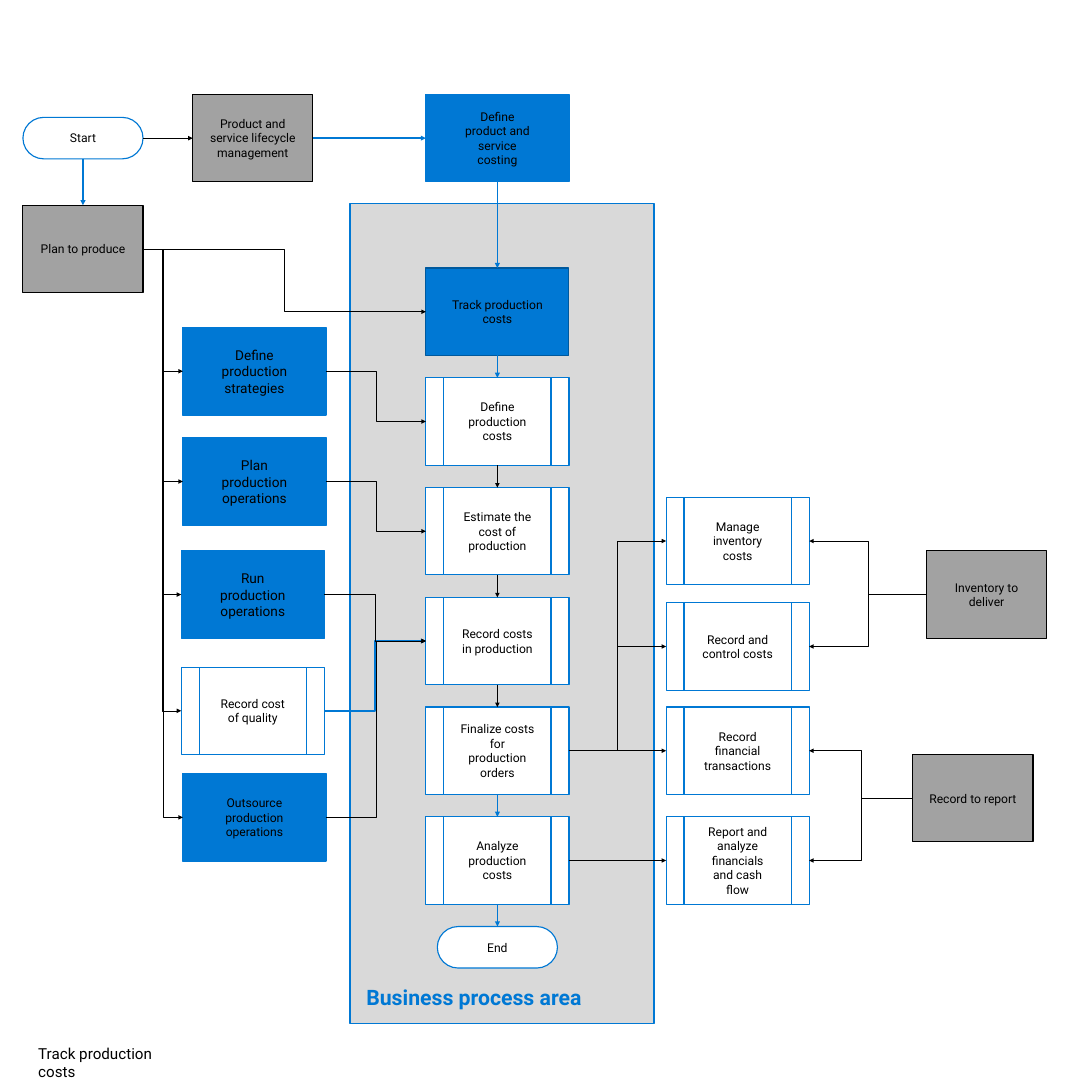
from lxml.etree import SubElement
from pptx import Presentation
from pptx.dml.color import RGBColor
from pptx.enum.shapes import MSO_CONNECTOR, MSO_SHAPE
from pptx.enum.text import MSO_ANCHOR, MSO_AUTO_SIZE, PP_ALIGN
from pptx.oxml.ns import qn
from pptx.util import Inches, Pt

BLUE = RGBColor(0x00, 0x78, 0xD4)
DARK_BLUE = RGBColor(0x00, 0x59, 0x9D)
GRAY = RGBColor(0xA2, 0xA2, 0xA2)
PANEL = RGBColor(0xD9, 0xD9, 0xD9)
BLACK = RGBColor(0, 0, 0)
WHITE = RGBColor(0xFF, 0xFF, 0xFF)

# Grid: columns, rows of the main flow and box sizes, in inches
LEFT, MID, RIGHT = 3.35, 7.8, 12.2
ROWS = [4.91 + 2.01 * i for i in range(6)]
END_COL, TOP_ROW = 0.42, 1.73
STEP_W, AREA_W, BOX_H, PILL_H = 2.62, 2.2, 1.6, 0.76

RECT = MSO_SHAPE.RECTANGLE
PILL = MSO_SHAPE.ROUNDED_RECTANGLE
STEP = MSO_SHAPE.FLOWCHART_PREDEFINED_PROCESS
TOP, WEST, BOTTOM, EAST = range(4)  # connection sites

prs = Presentation()
prs.slide_width = prs.slide_height = Inches(20)
s = prs.slides.add_slide(prs.slide_layouts[5])


def add_box(text, kind, x, y, w, h, fill, line, size=16):
    sp = s.shapes.add_shape(kind, Inches(x), Inches(y), Inches(w), Inches(h))
    sp.shadow.inherit = False
    sp.fill.solid()
    sp.fill.fore_color.rgb = fill
    sp.line.color.rgb = line
    sp.line.width = Pt(1.5)
    if kind == PILL:
        sp.adjustments[0] = 0.5
    tf = sp.text_frame
    tf.word_wrap = True
    tf.vertical_anchor = MSO_ANCHOR.MIDDLE
    tf.margin_left = tf.margin_right = Inches(0.3)
    tf.margin_top = tf.margin_bottom = Inches(0.24)
    p = tf.paragraphs[0]
    p.text = text
    p.alignment = PP_ALIGN.CENTER
    p.font.name = "Roboto"
    p.font.size = Pt(size)
    p.font.color.rgb = BLACK
    return sp


def connect(start, start_site, end, end_site, color=BLACK, width=0.75):
    c = s.shapes.add_connector(MSO_CONNECTOR.ELBOW, 0, 0, 0, 0)
    c.begin_connect(boxes[start], start_site)
    c.end_connect(boxes[end], end_site)
    if abs(c.begin_x - c.end_x) < 9144 or abs(c.begin_y - c.end_y) < 9144:
        c.element.spPr.find(qn("a:prstGeom")).set("prst", "line")
    c.line.color.rgb = color
    c.line.width = Pt(width)
    SubElement(c.element.spPr.find(qn("a:ln")), qn("a:tailEnd"), type="triangle")
    SubElement(c.element.spPr, qn("a:effectLst"))


# Page title at the bottom left
title = s.shapes.title
title.left, title.top = Inches(0.7), Inches(19.13)
title.width, title.height = Inches(2.78), Inches(0.34)
tf = title.text_frame
tf.margin_left = tf.margin_right = tf.margin_top = tf.margin_bottom = 0
tf.word_wrap = True
tf.auto_size = MSO_AUTO_SIZE.NONE
tf.vertical_anchor = MSO_ANCHOR.TOP
p = tf.paragraphs[0]
p.text = "Track production costs"
p.alignment = PP_ALIGN.LEFT
p.font.name = "Roboto"
p.font.size = Pt(20)
p.font.color.rgb = BLACK

# Business process area panel
panel = add_box("Business process area", RECT, 6.41, 3.73, 5.57, 15.01, PANEL, BLUE, 28)
panel.text_frame.vertical_anchor = MSO_ANCHOR.BOTTOM
p = panel.text_frame.paragraphs[0]
p.alignment = PP_ALIGN.LEFT
p.font.bold = True
p.font.color.rgb = BLUE

boxes = {}

# Start and end
for text, x, y in [("Start", END_COL, 2.15), ("End", 8.01, 16.97)]:
    boxes[text] = add_box(text, PILL, x, y, AREA_W, PILL_H, WHITE, BLUE)

# Neighbouring processes
for text, x, y in [
    ("Product and service lifecycle management", 3.53, TOP_ROW),
    ("Plan to produce", END_COL, 3.76),
    ("Inventory to deliver", 16.97, 10.09),
    ("Record to report", 16.72, 13.82),
]:
    boxes[text] = add_box(text, RECT, x, y, AREA_W, BOX_H, GRAY, BLACK)

# Main flow
main_flow = [
    "Track production costs",
    "Define production costs",
    "Estimate the cost of production",
    "Record costs in production",
    "Finalize costs for production orders",
    "Analyze production costs",
]
for i, (text, y) in enumerate(zip(main_flow, ROWS)):
    style = (WHITE, BLUE) if i else (BLUE, DARK_BLUE)
    boxes[text] = add_box(text, STEP if i else RECT, MID, y, STEP_W, BOX_H, *style)

# Steps beside the main flow
for text, x, y, fill, size in [
    ("Define product and service costing", MID, TOP_ROW, BLUE, 16),
    ("Define production strategies", LEFT, 6, BLUE, 18),
    ("Plan production operations", LEFT, 8.02, BLUE, 18),
    ("Run production operations", LEFT - 0.03, 10.09, BLUE, 18),
    ("Record cost of quality", LEFT - 0.03, 12.22, WHITE, 16),
    ("Outsource production operations", LEFT, 14.17, BLUE, 16),
    ("Manage inventory costs", RIGHT, 9.11, WHITE, 16),
    ("Record and control costs", RIGHT, 11.04, WHITE, 16),
    ("Record financial transactions", RIGHT, ROWS[4], WHITE, 16),
    ("Report and analyze financials and cash flow", RIGHT, ROWS[5], WHITE, 16),
]:
    boxes[text] = add_box(text, STEP, x, y, STEP_W, BOX_H, fill, BLUE, size)

# Arrows down the main flow
chain = ["Define product and service costing", *main_flow, "End"]
for i, (start, end) in enumerate(zip(chain, chain[1:])):
    style = (BLACK, 0.75) if i in (2, 3, 4) else (BLUE, 2.25)
    connect(start, BOTTOM, end, TOP, *style)

# Arrows from the start
connect("Start", BOTTOM, "Plan to produce", TOP, BLUE, 2.25)
connect("Start", EAST, "Product and service lifecycle management", WEST)
connect("Product and service lifecycle management", EAST,
        "Define product and service costing", WEST, BLUE, 2.25)
connect("Plan to produce", EAST, "Track production costs", WEST)

# Arrows through the left column into the main flow
for text, target, color, width in [
    ("Define production strategies", "Define production costs", BLACK, 0.75),
    ("Plan production operations", "Estimate the cost of production", BLACK, 0.75),
    ("Record cost of quality", "Record costs in production", BLUE, 2.25),
    ("Run production operations", "Record costs in production", BLACK, 0.75),
    ("Outsource production operations", "Record costs in production", BLACK, 0.75),
]:
    connect("Plan to produce", EAST, text, WEST)
    connect(text, EAST, target, WEST, color, width)

# Arrows into the right column from both sides
for text, source, neighbour in [
    ("Manage inventory costs", main_flow[4], "Inventory to deliver"),
    ("Record and control costs", main_flow[4], "Inventory to deliver"),
    ("Record financial transactions", main_flow[4], "Record to report"),
    ("Report and analyze financials and cash flow", main_flow[5], "Record to report"),
]:
    connect(source, EAST, text, WEST)
    connect(neighbour, WEST, text, EAST)

prs.save("out.pptx")
